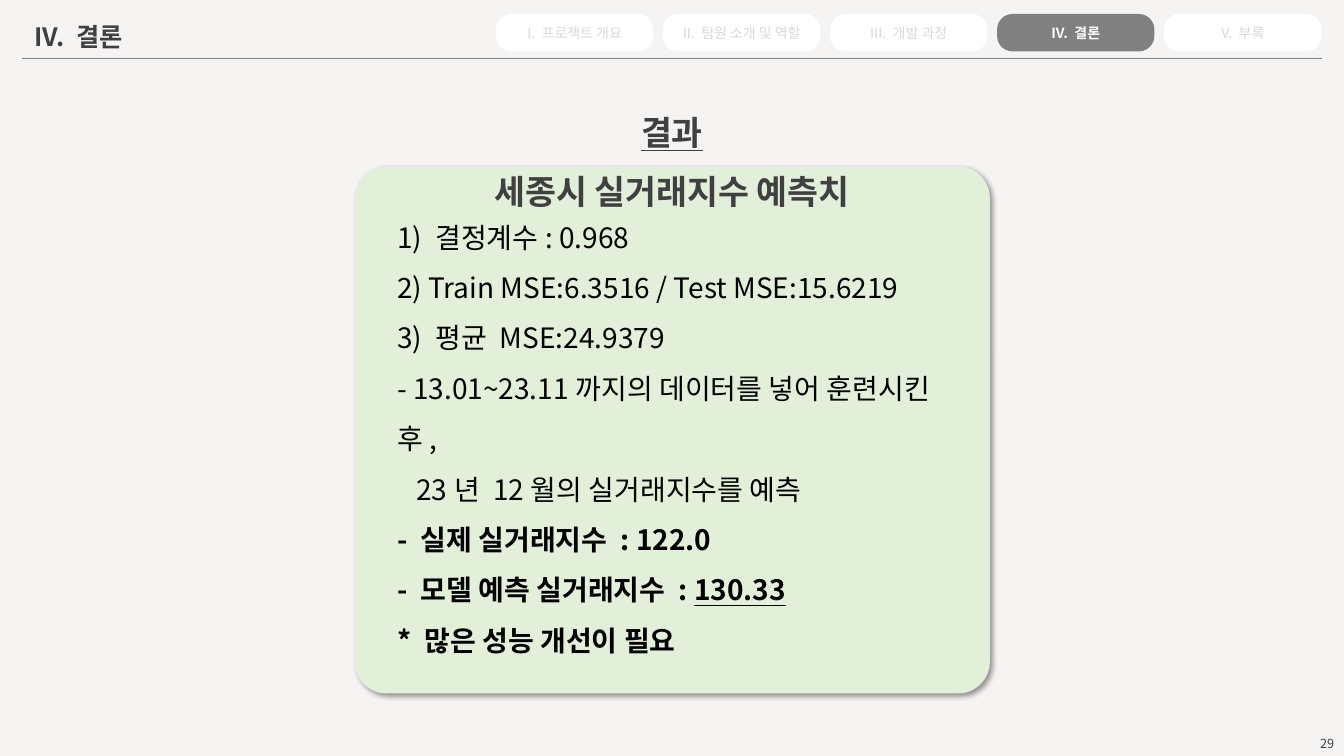
from dataclasses import dataclass

from lxml import etree
from pptx import Presentation
from pptx import util as u
from pptx.dml.color import RGBColor
from pptx.enum import shapes, text
from pptx.oxml import parse_xml
from pptx.oxml.ns import nsdecls, qn

FONT = "Noto Sans CJK KR"
INK, PALE, GREY, WHITE = "404040", "D9D9D9", "808080", "FFFFFF"
WIDTH, HEIGHT = u.Inches(13.33), u.Inches(7.5)


@dataclass
class Area:
    """A place on the slide, in percent of its width and height."""
    left: float
    top: float
    width: float
    height: float

    def emu(self) -> tuple[int, int, int, int]:
        return across(self.left), down(self.top), across(self.width), down(self.height)


@dataclass
class Finding:
    words: str
    bold: bool = False
    underlined: str = ""
    indent: float = 0


def across(percent: float) -> int:
    return int(WIDTH * percent / 100)


def down(percent: float) -> int:
    return int(HEIGHT * percent / 100)


def color(value: str) -> RGBColor:
    return RGBColor.from_string(value)


def style(paragraph, size: float, ink: str, bold: bool = False,
          align=text.PP_ALIGN.LEFT) -> None:
    paragraph.alignment = align
    font = paragraph.font
    font.name, font.size, font.bold = FONT, u.Pt(size), bold
    font.color.rgb = color(ink)
    latin = font._element.find(qn("a:latin"))
    latin.addnext(parse_xml(f'<a:ea {nsdecls("a")} typeface="{FONT}"/>'))


def place(holder, area: Area, anchor, inset_x: float = 0.1, inset_y: float = 0.05):
    holder.left, holder.top, holder.width, holder.height = area.emu()
    frame = holder.text_frame
    frame.word_wrap = True
    frame.auto_size = text.MSO_AUTO_SIZE.NONE
    frame.vertical_anchor = anchor
    frame.margin_left = frame.margin_right = u.Inches(inset_x)
    frame.margin_top = frame.margin_bottom = u.Inches(inset_y)
    return frame


def add_label(words: str, area: Area, size: float, bold: bool = False,
              align=text.PP_ALIGN.CENTER, anchor=text.MSO_ANCHOR.TOP):
    label = slide.shapes.add_textbox(*area.emu())
    frame = place(label, area, anchor)
    frame.text = words
    style(frame.paragraphs[0], size, INK, bold, align)
    return frame.paragraphs[0]


def add_rounded(area: Area, fill: str, rounding: float):
    panel = slide.shapes.add_shape(shapes.MSO_SHAPE.ROUNDED_RECTANGLE, *area.emu())
    panel.adjustments[0] = rounding
    panel.fill.solid()
    panel.fill.fore_color.rgb = color(fill)
    panel.line.fill.background()
    panel.shadow.inherit = False
    return panel


prs = Presentation()
prs.slide_width, prs.slide_height = WIDTH, HEIGHT
slide = prs.slides.add_slide(prs.slide_layouts[1])
slide.background.fill.solid()
slide.background.fill.fore_color.rgb = color("F6F4F3")

# Header: section title and rule
section = place(slide.shapes.title, Area(1.8, 2.25, 11.55, 5.9),
                text.MSO_ANCHOR.BOTTOM, inset_y=0.1)
section.text = "IV. 결론"
style(section.paragraphs[0], 18, INK, True)

rule = slide.shapes.add_connector(shapes.MSO_CONNECTOR.STRAIGHT,
                                  across(1.65), down(7.75), across(98.4), down(7.75))
rule.line.color.rgb = color(GREY)
rule.line.width = u.Pt(1)
etree.SubElement(rule._element.spPr, qn("a:effectLst"))

# Navigation tabs
CURRENT = 3
TABS = ["I. 프로젝트 개요", "II. 팀원 소개 및 역할", "III. 개발 과정", "IV. 결론", "V. 부록"]
for index, name in enumerate(TABS):
    active = index == CURRENT
    area = Area(36.9 + 12.43 * index, 1.85, 11.7, 4.95)
    tab = place(add_rounded(area, GREY if active else WHITE, 0.41), area,
                text.MSO_ANCHOR.MIDDLE)
    tab.text = name
    style(tab.paragraphs[0], 10, WHITE if active else PALE, active, text.PP_ALIGN.CENTER)

# Result card with soft shadow
card = add_rounded(Area(26.4, 22, 47.25, 69.73), "E2F0D9", 0.06)
card._element.spPr.find(qn("a:effectLst")).append(parse_xml(
    f'<a:outerShdw {nsdecls("a")} blurRad="50800" dist="38100" dir="2700000" algn="tl">'
    '<a:srgbClr val="000000"><a:alpha val="40000"/></a:srgbClr></a:outerShdw>'))
add_label("결과", Area(46.9, 14.15, 6.2, 6.7), 24, True).font.underline = True
add_label("세종시 실거래지수 예측치", Area(34.65, 22, 30.7, 6.7), 24, True)

# Findings, in front of the card
FINDINGS = [
    Finding("1) 결정계수: 0.968"),
    Finding("2) Train MSE:6.3516 / Test MSE:15.6219"),
    Finding("3) 평균 MSE:24.9379"),
    Finding("- 13.01~23.11까지의 데이터를 넣어 훈련시킨 후,"),
    Finding("23년 12월의 실거래지수를 예측", indent=0.19),
    Finding("- 실제 실거래지수 : 122.0", bold=True),
    Finding("- 모델 예측 실거래지수 : ", bold=True, underlined="130.33"),
    Finding("* 많은 성능 개선이 필요", bold=True),
]
body = slide.placeholders[1]
slide.shapes._spTree.append(body._element)
findings = place(body, Area(28.8, 29.3, 42.3, 55.2), text.MSO_ANCHOR.MIDDLE)
for index, finding in enumerate(FINDINGS):
    line = findings.add_paragraph() if index else findings.paragraphs[0]
    properties = line._p.get_or_add_pPr()
    properties.set("marL", str(u.Inches(finding.indent)))
    properties.set("indent", "0")
    etree.SubElement(properties, qn("a:buNone"))
    line.line_spacing = 1.5
    line.space_before = u.Pt(0)
    line.add_run().text = finding.words
    if finding.underlined:
        value = line.add_run()
        value.text = finding.underlined
        value.font.underline = True
    style(line, 20, "000000", finding.bold)

# Page number
add_label("29", Area(95.9, 96.7, 4.1, 3.2), 9, align=text.PP_ALIGN.RIGHT,
          anchor=text.MSO_ANCHOR.MIDDLE)

prs.save("out.pptx")
